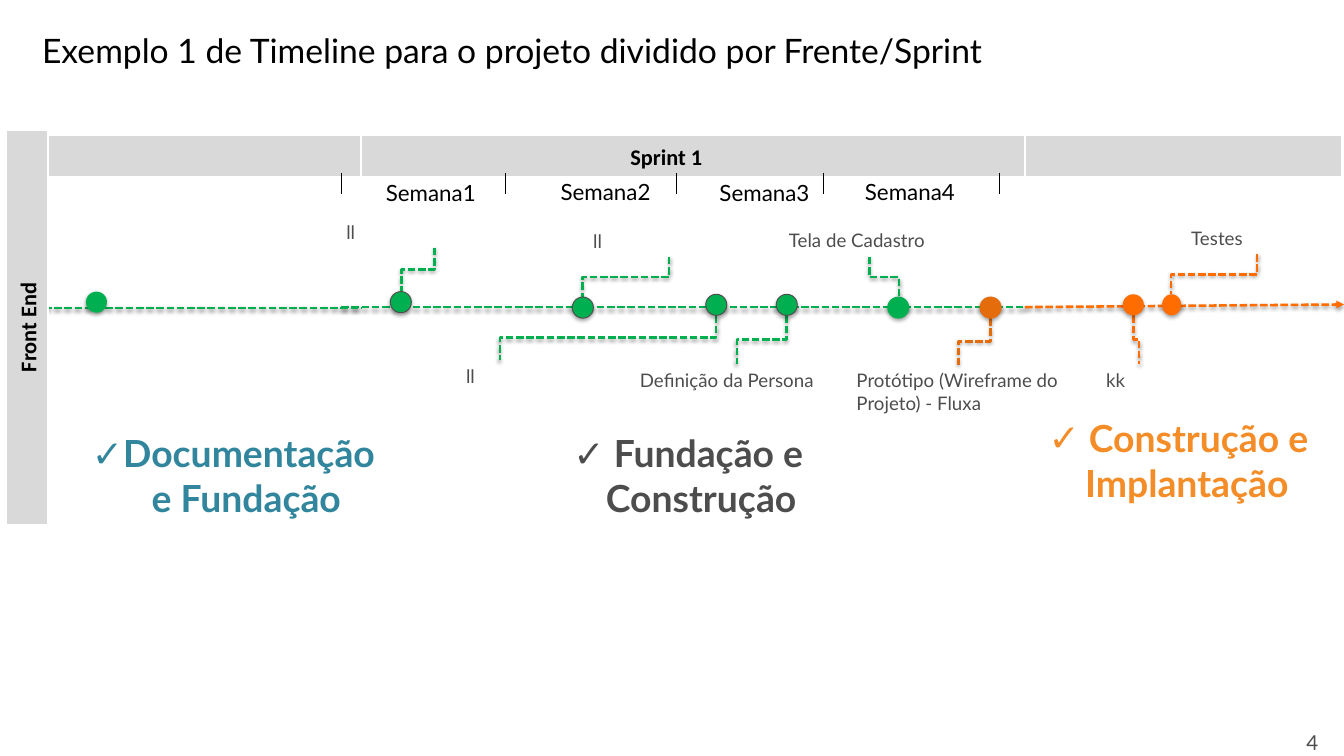
"""Build the front-end sprint timeline slide."""
from lxml import etree
from pptx import Presentation
from pptx import util as u
from pptx.dml.color import RGBColor
from pptx.enum import dml, shapes, text
from pptx.oxml.ns import qn

Pt = u.Pt
COLORS = {
    "green": "00B050", "orange": "FF6D00", "rust": "E46C0A", "gray": "4D4D4D",
    "band": "D9D9D9", "white": "FFFFFF", "black": "000000", "teal": "31859C",
    "amber": "F48D27",
}
AXIS = [
    (807.1, 241.9, 1058.4, 239.8, "orange"),
    (268.6, 241.9, 805.7, 241.9, "green"),
    (34.6, 242.6, 284.4, 242.6, "green"),
]
BRANCHES = [
    (563.8, 248.4, 393.8, 283.7, "green"),
    (527, 202.3, 458.6, 234, "green"),
    (619.2, 248.4, 580.3, 286.6, "green"),
    (990, 200.2, 922.3, 231.8, "orange"),
    (892.8, 248.4, 897.1, 286.6, "orange"),
    (684.7, 202.3, 707.8, 234, "green"),
    (779.8, 250.6, 754.6, 287.3, "rust"),
    (342, 195.1, 316.1, 229.7, "green"),
]
MILESTONES = [
    (67.7, 229.7, 16.6, "green", None),
    (307.4, 229.7, 16.6, "green", "gray"),
    (450.7, 234, 16.6, "green", "gray"),
    (555.8, 231.8, 16.6, "green", "gray"),
    (611.3, 231.8, 16.6, "green", "gray"),
    (699.1, 234, 16.6, "green", "green"),
    (771.8, 234, 16.6, "rust", "rust"),
    (884.2, 231.8, 16.6, "orange", None),
    (915.1, 231.8, 15.1, "orange", None),
]
LABELS = [
    ("ll", 265.7, 170.6, 153.4, 25.2),
    ("ll", 460.1, 177.1, 133.2, 25.2),
    ("Tela de Cadastro", 614.2, 176.4, 141.8, 25.2),
    ("Testes", 931, 175, 118.8, 25.2),
    ("ll", 360, 283.7, 67, 25.2),
    ("Definição da Persona", 496.8, 286.6, 167, 25.2),
    ("Protótipo (Wireframe do Projeto) - Fluxa", 667.4, 287.3, 174.2, 43.2),
    ("kk", 864, 286.6, 67, 25.2),
]
BANDS = [
    ("Sprint 1", 242.6, 106.6, 564.5, 0),
    ("", 807.1, 106.6, 249.8, 0),
    ("", 34.6, 106.6, 249.8, 0),
    ("Front End", -133.9, 241.2, 311, 270),
]
WEEKS = [(303.8, 135.4), (441.4, 134.6), (566.6, 136.1), (681.1, 134.6)]
TICKS = [268.6, 398.2, 532.8, 648.7, 787]
PHASES = [
    ("Documentação e Fundação", 59, 335.5, 249.8, "teal"),
    (" Fundação e Construção", 411.8, 335.5, 260.6, "gray"),
    (" Construção e Implantação ", 797.8, 323.3, 260.6, "amber"),
]


def rgb(name):
    """Return the named colour."""
    return RGBColor.from_string(COLORS[name])


def style_para(para, size, color, font="Lato", bold=False):
    """Format the runs of a paragraph."""
    for span in para.runs:
        span.font.size = Pt(size)
        span.font.name = font
        span.font.bold = bold
        span.font.color.rgb = rgb(color)


def add_shadow(effects, distance, alpha):
    """Put a soft downward shadow into an effect list."""
    shadow = etree.SubElement(effects, qn("a:outerShdw"), blurRad=str(Pt(3.1)),
                              dist=str(Pt(distance)), dir="5400000", rotWithShape="0")
    color = etree.SubElement(shadow, qn("a:srgbClr"), val=COLORS["black"])
    etree.SubElement(color, qn("a:alpha"), val=str(alpha * 1000))


def add_line(page, x1, y1, x2, y2, color, kind=shapes.MSO_CONNECTOR.STRAIGHT, dashed=True):
    """Draw a connector, dashed and shadowed or thin and plain."""
    line = page.shapes.add_connector(kind, Pt(x1), Pt(y1), Pt(x2), Pt(y2))
    line.line.color.rgb = rgb(color)
    line.line.width = Pt(2 if dashed else 0.75)
    effects = etree.SubElement(line.element.spPr, qn("a:effectLst"))
    if dashed:
        line.line.dash_style = dml.MSO_LINE.SQUARE_DOT
        add_shadow(effects, 1.6, 38)
    return line


def add_branch(page, x1, y1, x2, y2, color):
    """Draw an elbow that runs down, across and down again."""
    mid_x, mid_y = (x1 + x2) / 2, (y1 + y2) / 2
    half_run, half_rise = (y2 - y1) / 2, (x1 - x2) / 2
    elbow = add_line(page, mid_x - half_run, mid_y - half_rise, mid_x + half_run,
                     mid_y + half_rise, color, shapes.MSO_CONNECTOR.ELBOW)
    elbow.element.spPr.find(qn("a:xfrm")).set("rot", "5400000")


def add_milestone(page, x, y, width, fill, outline):
    """Draw a shadowed dot on the timeline."""
    dot = page.shapes.add_shape(shapes.MSO_SHAPE.OVAL, Pt(x), Pt(y), Pt(width), Pt(16.6))
    dot.fill.solid()
    dot.fill.fore_color.rgb = rgb(fill)
    if outline:
        dot.line.color.rgb = rgb(outline)
        dot.line.width = Pt(0.75)
    else:
        dot.line.fill.background()
    dot.shadow.inherit = False
    add_shadow(dot.element.spPr.find(qn("a:effectLst")), 1.8, 35)


def add_band(page, words, x, y, width, turn):
    """Draw a grey header band with a bold caption."""
    box = page.shapes.add_shape(shapes.MSO_SHAPE.RECTANGLE, Pt(x), Pt(y), Pt(width), Pt(33.1))
    box.rotation = turn
    box.shadow.inherit = False
    box.fill.solid()
    box.fill.fore_color.rgb = rgb("band")
    box.line.color.rgb = rgb("white")
    box.line.width = Pt(1.5)
    if words:
        frame = box.text_frame
        frame.text = words
        frame.word_wrap = False
        frame.vertical_anchor = text.MSO_ANCHOR.MIDDLE
        frame.paragraphs[0].alignment = text.PP_ALIGN.CENTER
        style_para(frame.paragraphs[0], 17.6, "black", "Calibri", True)


def add_text(page, words, x, y, width, height, size, color,
             bold=False, inset=True, grow=True):
    """Place a text box and return its paragraph."""
    box = page.shapes.add_textbox(Pt(x), Pt(y), Pt(width), Pt(height))
    frame = box.text_frame
    frame.text = words
    frame.word_wrap = True
    if grow:
        frame.auto_size = text.MSO_AUTO_SIZE.SHAPE_TO_FIT_TEXT
    if not inset:
        frame.margin_left = frame.margin_right = Pt(0)
        frame.margin_top = frame.margin_bottom = Pt(0)
    para = frame.paragraphs[0]
    style_para(para, size, color, bold=bold)
    return para


def add_week(page, number, x, y):
    """Name one week under the sprint band."""
    para = add_text(page, f"Semana{number}", x, y, 85, 25.9, 17.6, "black",
                    inset=False, grow=False)
    para.line_spacing = Pt(26.5)
    para.space_before = Pt(11.8)


def add_phase(page, words, x, y, width, color):
    """Place a large phase name with a check mark bullet."""
    para = add_text(page, words, x, y, width, 78.5, 29.4, color, bold=True)
    para.alignment = text.PP_ALIGN.CENTER
    props = para._p.get_or_add_pPr()
    props.set("marL", str(Pt(20.2)))
    props.set("indent", str(Pt(-20.2)))
    etree.SubElement(props, qn("a:buFont"), typeface="Lato")
    etree.SubElement(props, qn("a:buChar"), char="✓")


def main():
    """Build and save the deck."""
    deck = Presentation()
    deck.slide_width, deck.slide_height = Pt(1058.4), Pt(595.44)
    page = deck.slides.add_slide(deck.slide_layouts[6])
    axis = [add_line(page, *stretch) for stretch in AXIS]
    etree.SubElement(axis[0].line._get_or_add_ln(), qn("a:tailEnd"), type="triangle")
    for branch in BRANCHES:
        add_branch(page, *branch)
    for milestone in MILESTONES:
        add_milestone(page, *milestone)
    for label in LABELS:
        add_text(page, *label, 14.7, "gray")
    for band in BANDS:
        add_band(page, *band)
    for number, place in enumerate(WEEKS, 1):
        add_week(page, number, *place)
    for x in TICKS:
        add_line(page, x, 136.1, x, 153, "black", dashed=False)
    for phase in PHASES:
        add_phase(page, *phase)
    title = add_text(page, "Exemplo 1 de Timeline para o projeto dividido por Frente/Sprint",
                     33.1, 23.8, 958.3, 32.4, 26.5, "black", inset=False)
    title.space_after = Pt(8.8)
    add_text(page, "4", 1021.7, 571, 36.7, 24.4, 16.2, "gray", grow=False)
    deck.save("out.pptx")


if __name__ == "__main__":
    main()
